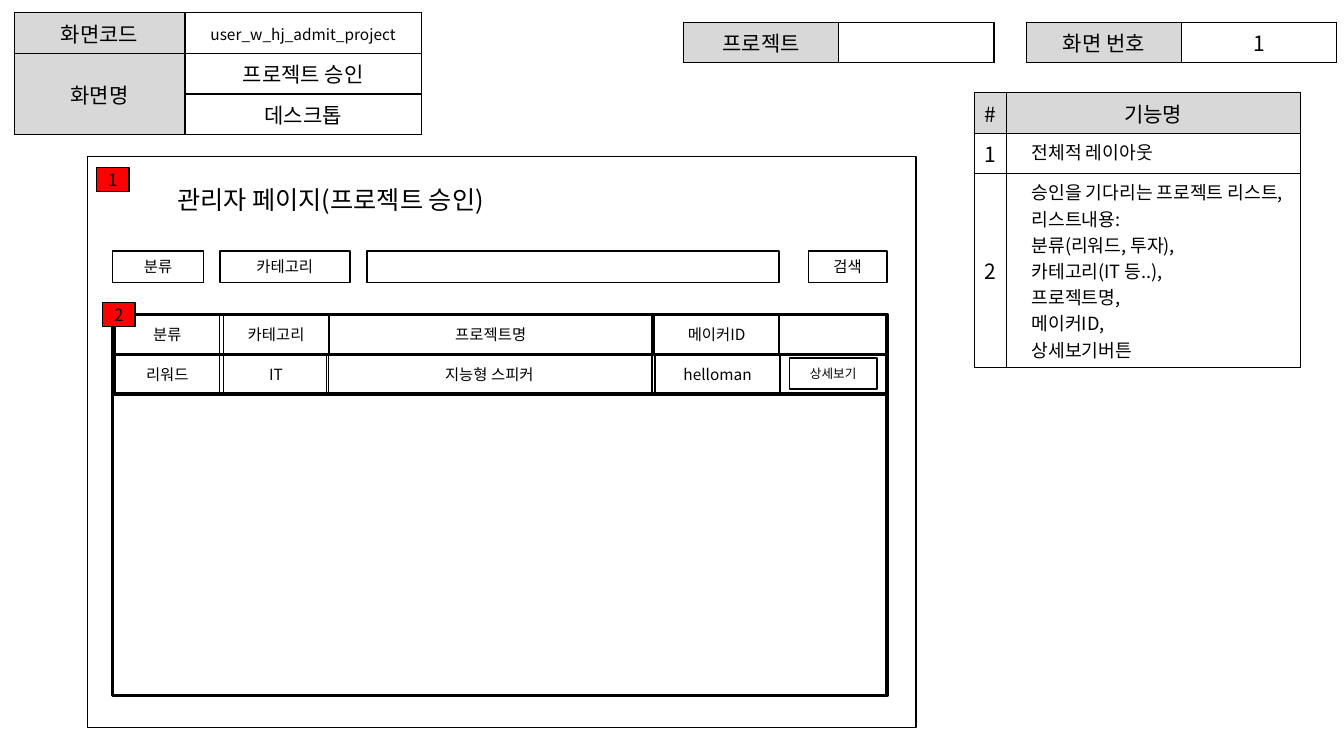
import lxml.etree
import pptx
import pptx.dml.color
import pptx.enum.shapes
import pptx.enum.text
import pptx.oxml.ns
import pptx.util

Pt = pptx.util.Pt
ALIGN = pptx.enum.text.PP_ALIGN
ANCHOR = pptx.enum.text.MSO_ANCHOR
qn = pptx.oxml.ns.qn

COLORS = {"ink": "000000", "label": "D8D8D8", "paper": "FFFFFF", "badge": "FF0000"}
FONT = "Noto Sans CJK KR"
ROW = 29


def color(name):
    return pptx.dml.color.RGBColor.from_string(COLORS[name])


class Wireframe:
    """Holds the shared style and the page being drawn."""

    def __init__(self, page):
        self.page = page

    def add_text(self, para, text, size, align):
        para.alignment = align
        if not text:
            lxml.etree.SubElement(para._p, qn("a:endParaRPr"), sz=str(size * 100))
            return
        span = para.add_run()
        span.text = text
        span.font.size = Pt(size)
        span.font.name = FONT
        span.font.color.rgb = color("ink")
        east_asian = lxml.etree.SubElement(span.font._element, qn("a:ea"))
        east_asian.set("typeface", FONT)

    def box(self, left, top, width, height, text="", size=11, fill=None, weight=1):
        shape = self.page.shapes.add_shape(
            pptx.enum.shapes.MSO_SHAPE.RECTANGLE, Pt(left), Pt(top), Pt(width), Pt(height))
        shape.shadow.inherit = False
        if fill:
            shape.fill.solid()
            shape.fill.fore_color.rgb = color(fill)
        else:
            shape.fill.background()
        shape.line.color.rgb = color("ink")
        shape.line.width = Pt(weight)
        if text:
            shape.text_frame.vertical_anchor = ANCHOR.MIDDLE
            self.add_text(shape.text_frame.paragraphs[0], text, size, ALIGN.CENTER)

    def badge(self, left, top, number):
        self.box(left, top, 23, 17.3, number, 12, "badge")

    def title(self, left, top, width, height, text):
        frame = self.page.shapes.add_textbox(
            Pt(left), Pt(top), Pt(width), Pt(height)).text_frame
        frame.word_wrap = True
        self.add_text(frame.paragraphs[0], text, 18, ALIGN.LEFT)

    def rule(self, left, right, y):
        line = self.page.shapes.add_connector(
            pptx.enum.shapes.MSO_CONNECTOR.STRAIGHT, Pt(left), Pt(y), Pt(right), Pt(y))
        line.line.color.rgb = color("ink")
        line.line.width = Pt(2.25)
        lxml.etree.SubElement(line._element.spPr, qn("a:effectLst"))

    def table(self, left, top, widths, heights):
        table = self.page.shapes.add_table(
            len(heights), len(widths), Pt(left), Pt(top),
            Pt(sum(widths)), Pt(sum(heights))).table
        table.first_row = table.horz_banding = False
        for column, width in zip(table.columns, widths):
            column.width = Pt(width)
        for row, height in zip(table.rows, heights):
            row.height = Pt(height)
        return table

    def cell(self, cell, lines, fill="paper", size=15, listing=False):
        props = cell._tc.get_or_add_tcPr()
        for side in ("lnL", "lnR", "lnT", "lnB"):
            edge = lxml.etree.SubElement(props, qn("a:" + side), w=str(Pt(1)))
            solid = lxml.etree.SubElement(edge, qn("a:solidFill"))
            lxml.etree.SubElement(solid, qn("a:srgbClr"), val=COLORS["ink"])
        cell.fill.solid()
        cell.fill.fore_color.rgb = color(fill)
        cell.vertical_anchor = ANCHOR.TOP if listing else ANCHOR.MIDDLE
        frame = cell.text_frame
        for index, text in enumerate(lines):
            para = frame.add_paragraph() if index else frame.paragraphs[0]
            if listing:
                indent = para._p.get_or_add_pPr()
                indent.set("marL", str(Pt(10.8)))
                indent.set("indent", "0")
            self.add_text(para, text, size, ALIGN.LEFT if listing else ALIGN.CENTER)

    def label_pair(self, left, label, value):
        table = self.table(left, 15.8, [110.9, 110.9], [ROW])
        self.cell(table.cell(0, 0), [label], "label")
        self.cell(table.cell(0, 1), [value])


def screen_table(wire):
    table = wire.table(10.2, 9.2, [121.9, 169], [ROW] * 3)
    table.cell(1, 0).merge(table.cell(2, 0))
    rows = [("화면코드", "user_w_hj_admit_project", 11),
            ("화면명", "프로젝트 승인", 15),
            ("", "데스크톱", 15)]
    for index, (label, value, size) in enumerate(rows):
        wire.cell(table.cell(index, 0), [label], "label")
        wire.cell(table.cell(index, 1), [value], size=size)


def feature_table(wire):
    features = [["전체적 레이아웃"],
                ["승인을 기다리는 프로젝트 리스트,", "리스트내용:", "분류(리워드, 투자),",
                 "카테고리(IT 등..),", "프로젝트명,", "메이커ID,", "상세보기버튼"]]
    table = wire.table(696, 66.2, [23, 209.7], [ROW, ROW, 138])
    for column, heading in enumerate(["#", "기능명"]):
        wire.cell(table.cell(0, column), [heading], "label")
    for number, lines in enumerate(features, 1):
        wire.cell(table.cell(number, 0), [str(number)])
        wire.cell(table.cell(number, 1), lines, size=13, listing=True)


def admin_page(wire):
    left, right, list_top, pitch = 80.6, 633.6, 224.6, 28.4
    wire.badge(69.1, 119.5, "1")
    wire.box(62.6, 111.6, 591.8, 408.2)
    wire.box(left, list_top, right - left, 272.2, weight=2.25)

    search_bar = [(left, 64.8, "분류"), (157, 92.9, "카테고리"),
                  (262.1, 294.5, ""), (577.4, 56.2, "검색")]
    for x, width, text in search_bar:
        wire.box(x, 179.3, width, 22.3, text)

    project_rows = [
        [(82.1, 74.9, "분류"), (159.8, 74.9, "카테고리"),
         (235.4, 230.4, "프로젝트명"), (467.3, 89.3, "메이커ID")],
        [(82.1, 74.9, "리워드"), (159.8, 74.9, "IT"),
         (233.3, 232.6, "지능형 스피커"), (468, 89.3, "helloman")]]
    for index, cells in enumerate(project_rows):
        top = list_top + index * pitch
        wire.rule(left, right, top + pitch)
        for x, width, text in cells:
            wire.box(x, top, width, 28.1, text)
    wire.box(563.8, 255.6, 62.6, 22.3, "상세보기", 9)
    wire.title(119.5, 128.2, 475.2, 28.8, "관리자 페이지(프로젝트 승인)")
    wire.badge(73.4, 216, "2")


def main():
    deck = pptx.Presentation()
    deck.slide_width, deck.slide_height = Pt(960), Pt(540)
    wire = Wireframe(deck.slides.add_slide(deck.slide_layouts[6]))
    screen_table(wire)
    wire.label_pair(733, "화면 번호", "1")
    wire.label_pair(488.2, "프로젝트", "")
    feature_table(wire)
    admin_page(wire)
    deck.save("out.pptx")


if __name__ == "__main__":
    main()
